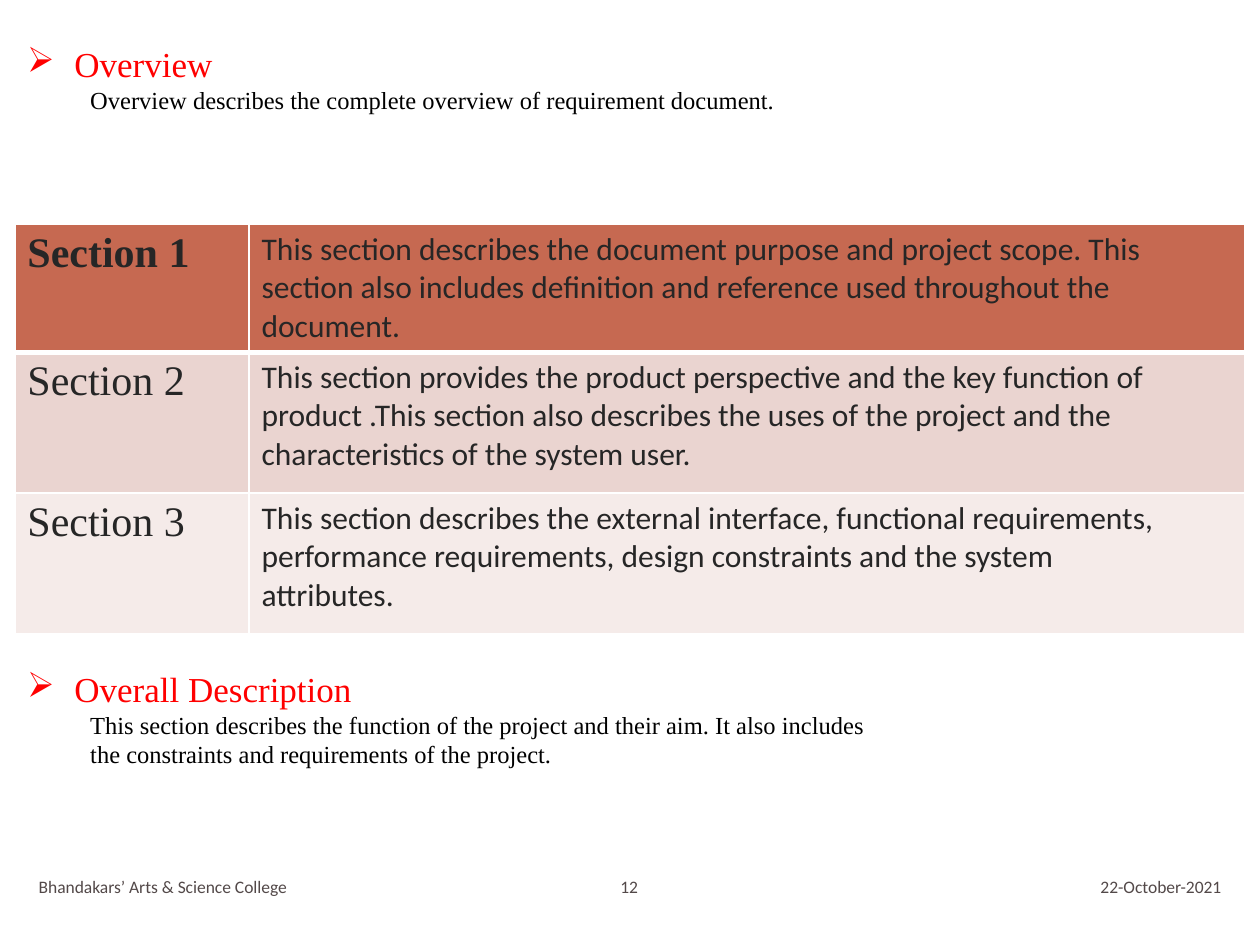
from dataclasses import dataclass

from lxml import etree
from pptx import Presentation
from pptx import util as u
from pptx.dml.color import RGBColor
from pptx.enum import text
from pptx.oxml.ns import qn

SERIF, SANS = "Times New Roman", "Calibri"
RED, BLACK, DARK, GREY, WHITE = "FF0000", "000000", "262626", "534949", "FFFFFF"
LEFT, WIDTH = 0.3, 24.79


@dataclass
class Style:
    face: str
    size: int
    color: str
    bold: bool = False


@dataclass
class Section:
    name: str
    lines: list[str]
    fill: str
    height: float


@dataclass
class Topic:
    heading: str
    lines: list[str]
    top: float
    width: float
    height: float
    indent: float = 0


@dataclass
class Footer:
    words: str
    left: float
    width: float
    align: text.PP_ALIGN


SECTIONS = [
    Section("Section 1", [
        "This section describes the document purpose and project scope. This",
        "section also includes definition and reference used throughout the",
        "document."], "C66951", 2.31),
    Section("Section 2", [
        "This section provides the product perspective and the key function of",
        "product .This section also describes the uses of the project and the",
        "characteristics of the system user."], "EAD4D0", 2.84),
    Section("Section 3", [
        "This section describes the external interface, functional requirements,",
        "performance requirements, design constraints and the system",
        "attributes."], "F5EBE9", 2.84),
]
TOPICS = [
    Topic("Overview",
          ["\tOverview describes the complete overview of requirement document."],
          0.74, 21.2, 1.7),
    Topic("Overall Description", [
        "This section describes the function of the project and their aim. It also includes",
        "the constraints and requirements of the project."], 13.34, WIDTH, 2.31, 1.27),
]
FOOTERS = [
    Footer("Bhandakars’ Arts & Science College", 0.53, 10.52, text.PP_ALIGN.LEFT),
    Footer("12", 11.07, 3.23, text.PP_ALIGN.CENTER),
    Footer("22-October-2021", 14.35, 10.52, text.PP_ALIGN.RIGHT),
]


def rgb(code: str) -> RGBColor:
    return RGBColor.from_string(code)


def style_para(para, style: Style) -> None:
    font = para.font
    font.name, font.size, font.bold = style.face, u.Pt(style.size), style.bold
    font.color.rgb = rgb(style.color)


def write_lines(frame, lines: list[str], style: Style) -> None:
    frame.text = "\n".join(lines)
    for para in frame.paragraphs:
        style_para(para, style)


def set_borders(cell, bottom: float) -> None:
    """Draw white lines on all four sides, the bottom one as thick as given."""
    properties = cell._tc.get_or_add_tcPr()
    sides = {"a:lnL": 1, "a:lnR": 1, "a:lnT": 1, "a:lnB": bottom}
    for place, (side, points) in enumerate(sides.items()):
        line = etree.Element(qn(side), w=str(u.Pt(points)))
        fill = etree.SubElement(line, qn("a:solidFill"))
        etree.SubElement(fill, qn("a:srgbClr"), val=WHITE)
        properties.insert(place, line)


def add_sections(page) -> None:
    height = sum(section.height for section in SECTIONS)
    table = page.shapes.add_table(len(SECTIONS), 2, u.Cm(LEFT), u.Cm(4.52),
                                  u.Cm(WIDTH), u.Cm(height)).table
    for column, width in zip(table.columns, (4.72, 20.07)):
        column.width = u.Cm(width)
    for number, section in enumerate(SECTIONS):
        header = number == 0
        row = table.rows[number]
        row.height = u.Cm(section.height)
        name, details = row.cells
        write_lines(name.text_frame, [section.name], Style(SERIF, 24, DARK, header))
        write_lines(details.text_frame, section.lines, Style(SANS, 18, DARK))
        for cell in (name, details):
            cell.fill.solid()
            cell.fill.fore_color.rgb = rgb(section.fill)
            set_borders(cell, 3 if header else 1)


def set_indent(para, left: float, first: float = 0) -> None:
    properties = para._p.get_or_add_pPr()
    properties.set("marL", str(u.Cm(left)))
    properties.set("indent", str(u.Cm(first)))


def add_box(page, left: float, top: float, width: float, height: float):
    frame = page.shapes.add_textbox(u.Cm(left), u.Cm(top), u.Cm(width),
                                    u.Cm(height)).text_frame
    frame.word_wrap = True
    return frame


def add_topic(page, topic: Topic) -> None:
    frame = add_box(page, LEFT, topic.top, topic.width, topic.height)
    frame.auto_size = text.MSO_AUTO_SIZE.SHAPE_TO_FIT_TEXT
    heading = frame.paragraphs[0]
    heading.text = topic.heading
    set_indent(heading, 0.95, -0.95)
    etree.SubElement(heading._p.get_or_add_pPr(), qn("a:buChar"), char="➢")
    style_para(heading, Style(SERIF, 20, RED))
    for line in topic.lines:
        para = frame.add_paragraph()
        para.text = line
        set_indent(para, topic.indent)
        style_para(para, Style(SERIF, 14, BLACK))


def add_footer(page, footer: Footer) -> None:
    frame = add_box(page, footer.left, 17.37, footer.width, 1.02)
    frame.vertical_anchor = text.MSO_ANCHOR.MIDDLE
    write_lines(frame, [footer.words], Style(SANS, 10, GREY))
    frame.paragraphs[0].alignment = footer.align


def main() -> None:
    deck = Presentation()
    deck.slide_width, deck.slide_height = u.Cm(25.4), u.Cm(19.05)
    page = deck.slides.add_slide(deck.slide_layouts[6])
    add_sections(page)
    for footer in FOOTERS:
        add_footer(page, footer)
    for topic in TOPICS:
        add_topic(page, topic)
    deck.save("out.pptx")


if __name__ == "__main__":
    main()
